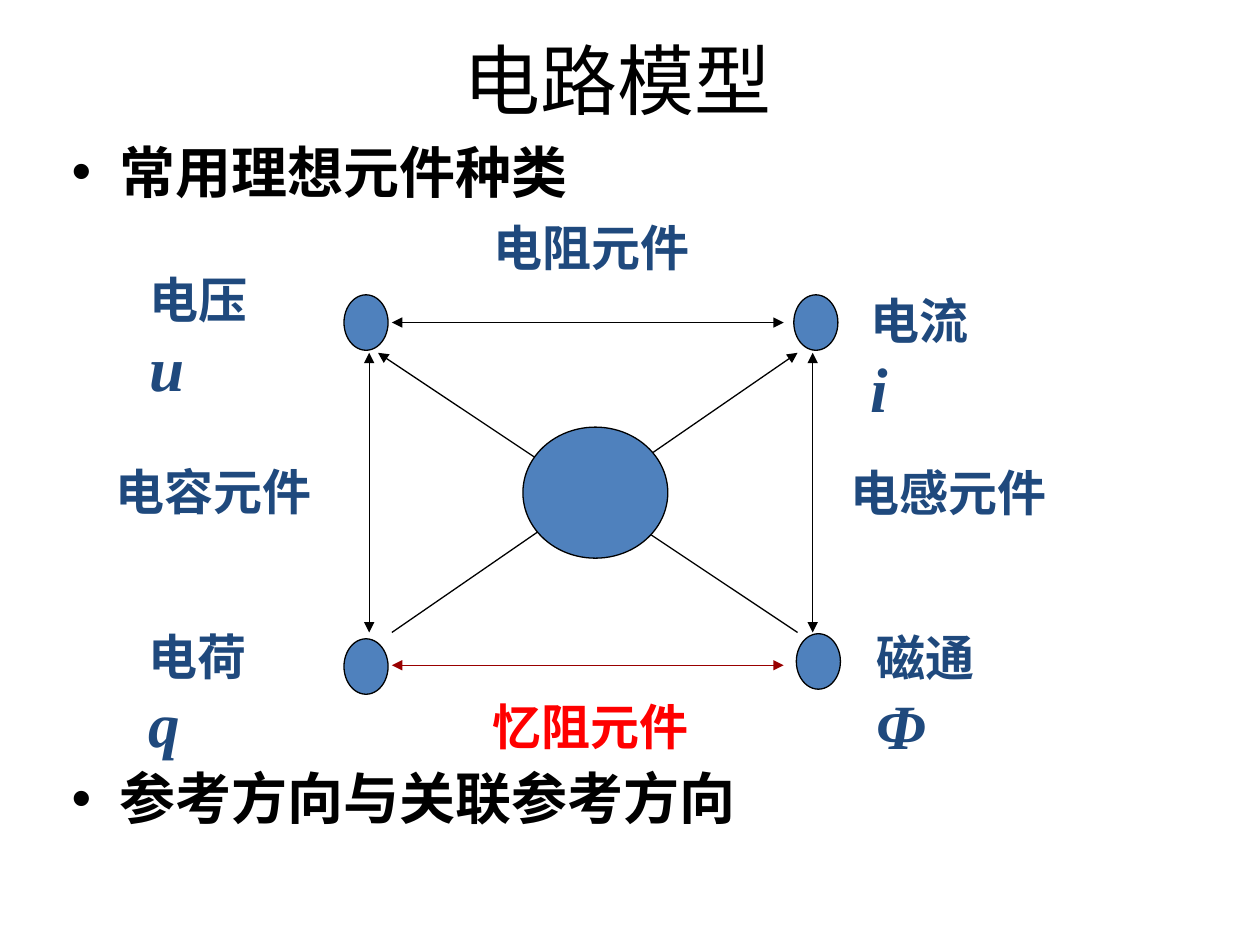
from lxml.etree import SubElement
from pptx import Presentation
from pptx.dml.color import RGBColor
from pptx.enum.shapes import MSO_CONNECTOR as Connector, MSO_SHAPE as Shape
from pptx.enum.text import MSO_ANCHOR as Anchor, PP_ALIGN as Align
from pptx.oxml.ns import qn
from pptx.util import Inches, Pt

BLACK, BLUE, NAVY, RED, DARK_RED = "000000", "4F81BD", "1F497D", "FF0000", "990000"


def color(value):
    """Turn a hex string into a colour."""
    return RGBColor.from_string(value)


def add_box(slide, left, top, width, height, wrap=True):
    """Add an empty text box and return its text frame."""
    box = slide.shapes.add_textbox(Inches(left), Inches(top), Inches(width), Inches(height))
    box.text_frame.word_wrap = wrap
    return box.text_frame


def add_run(paragraph, text, size, font, hex_color, bold=True, italic=False):
    """Append one formatted run to a paragraph."""
    run = paragraph.add_run()
    run.text = text
    run.font.size = Pt(size)
    run.font.name = font
    run.font.bold = bold
    run.font.italic = italic
    run.font.color.rgb = color(hex_color)


def add_title(slide, text):
    """Add the centred slide title."""
    frame = add_box(slide, 0.47, 0, 9, 1.25)
    frame.vertical_anchor = Anchor.MIDDLE
    frame.paragraphs[0].alignment = Align.CENTER
    add_run(frame.paragraphs[0], text, 44, "Calibri", BLACK, bold=False)


def add_bullets(slide, texts, gap):
    """Add bullet points with a gap between them for the diagram."""
    frame = add_box(slide, 0.47, 1.02, 9, 6.02)
    for index, text in enumerate(texts):
        paragraph = frame.add_paragraph() if index else frame.paragraphs[0]
        properties = paragraph._p.get_or_add_pPr()
        properties.set("marL", str(Inches(0.38)))
        properties.set("indent", str(Inches(-0.38)))
        SubElement(properties, qn("a:buFont"), typeface="Arial")
        SubElement(properties, qn("a:buChar"), char="•")
        paragraph.line_spacing = Pt(40)
        if index:
            paragraph.space_before = Pt(gap)
        add_run(paragraph, text, 32, "Calibri", BLACK)


def add_ellipse(slide, left, top, width, height):
    """Add a blue ellipse with a thin black outline."""
    shape = slide.shapes.add_shape(
        Shape.OVAL, Inches(left), Inches(top), Inches(width), Inches(height))
    shape.shadow.inherit = False
    shape.fill.solid()
    shape.fill.fore_color.rgb = color(BLUE)
    shape.line.color.rgb = color(BLACK)
    shape.line.width = Pt(0.75)


def add_arrow(slide, start, end, hex_color=BLACK, both=True):
    """Add a line with an arrowhead at its start, or at both ends."""
    points = [Inches(value) for value in (*start, *end)]
    connector = slide.shapes.add_connector(Connector.STRAIGHT, *points)
    connector.line.color.rgb = color(hex_color)
    connector.line.width = Pt(0.75)
    line = connector.line._get_or_add_ln()
    for tag in ("a:headEnd", "a:tailEnd")[:2 if both else 1]:
        SubElement(line, qn(tag), type="triangle")
    SubElement(connector._element.spPr, qn("a:effectLst"))


def add_quantity(slide, left, top, width, name, symbol):
    """Add a quantity name with its symbol wrapped below it."""
    frame = add_box(slide, left, top, width, 0.7)
    frame.margin_right = Inches(width - 1)
    paragraph = frame.paragraphs[0]
    add_run(paragraph, name + " ", 28, "Times New Roman", NAVY)
    add_run(paragraph, symbol, 36, "Times New Roman", NAVY, italic=True)


def add_element_label(slide, left, top, text, hex_color=NAVY):
    """Add the name of a circuit element."""
    frame = add_box(slide, left, top, 1.76, 0.57, wrap=False)
    add_run(frame.paragraphs[0], text, 28, "Times New Roman", hex_color)


def main():
    """Build the slide and save it."""
    presentation = Presentation()
    presentation.slide_width, presentation.slide_height = Inches(10), Inches(7.5)
    slide = presentation.slides.add_slide(presentation.slide_layouts[6])

    add_title(slide, "电路模型 ")
    add_bullets(slide, ["常用理想元件种类", "参考方向与关联参考方向"], 318)

    for left, top in [(2.73, 5.07), (6.32, 5.03), (2.73, 2.34), (6.3, 2.34)]:
        add_ellipse(slide, left, top, 0.35, 0.44)
    for quantity in [
        (1.08, 4.92, 1.33, "电荷", "q"),
        (6.86, 4.93, 1.47, "磁通", "Φ"),
        (1.09, 2.09, 1.36, "电压", "u"),
        (6.81, 2.26, 1.22, "电流", "i"),
    ]:
        add_quantity(slide, *quantity)

    upper, lower = 2.8, 5.02
    add_arrow(slide, (3, upper), (6.33, lower), both=False)
    add_arrow(slide, (6.33, upper), (3.11, lower), both=False)
    for x in (2.93, 6.45):
        add_arrow(slide, (x, upper), (x, lower))
    for y, hex_color in [(2.56, BLACK), (5.28, DARK_RED)]:
        add_arrow(slide, (3.11, y), (6.22, y), hex_color)

    add_element_label(slide, 3.82, 1.68, "电阻元件")
    add_element_label(slide, 0.82, 3.61, "电容元件")
    add_element_label(slide, 6.65, 3.62, "电感元件")
    add_element_label(slide, 3.81, 5.48, "忆阻元件", RED)
    add_ellipse(slide, 4.15, 3.39, 1.15, 1.04)

    presentation.save("out.pptx")


if __name__ == "__main__":
    main()
